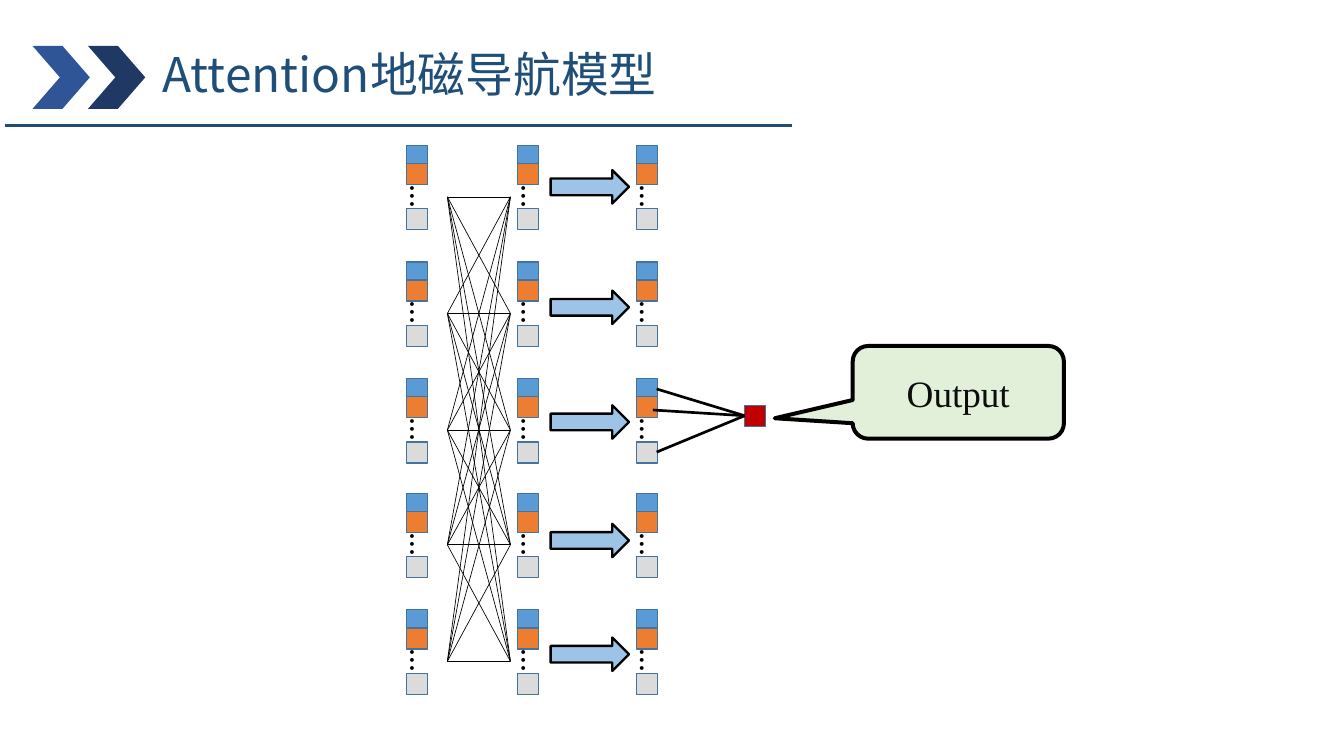
from itertools import product

from lxml.etree import SubElement
from pptx import Presentation
from pptx.dml.color import RGBColor
from pptx.enum.shapes import MSO_CONNECTOR, MSO_SHAPE
from pptx.enum.text import MSO_ANCHOR, MSO_AUTO_SIZE, PP_ALIGN
from pptx.oxml.ns import qn
from pptx.util import Inches, Pt

# The grid has square cells, ten to the inch.
COLUMNS, ROWS = 140.6, 79.1

NAVY = RGBColor(0x1F, 0x4E, 0x79)
CHEVRON_BLUE = RGBColor(0x2F, 0x55, 0x97)
CHEVRON_DARK = RGBColor(0x20, 0x38, 0x64)
BLUE = RGBColor(0x5B, 0x9B, 0xD5)
ORANGE = RGBColor(0xED, 0x7D, 0x31)
GREY = RGBColor(0xDB, 0xDB, 0xDB)
RED = RGBColor(0xC0, 0x00, 0x00)
OUTLINE = RGBColor(0x43, 0x73, 0x9E)
ARROW_BLUE = RGBColor(0x9D, 0xC3, 0xE6)
PALE_GREEN = RGBColor(0xE2, 0xF0, 0xD9)
BLACK = RGBColor(0x00, 0x00, 0x00)
INK = RGBColor(0x0D, 0x0D, 0x0D)

TITLE_FONT = {"name": "Noto Sans CJK SC", "size": Pt(36), "bold": False}
DOTS_FONT = {"name": "Calibri", "size": Pt(24)}
OUTPUT_FONT = {"name": "Times New Roman", "size": Pt(28)}
TITLE_FRAME = {"word_wrap": True, "auto_size": MSO_AUTO_SIZE.NONE,
               "vertical_anchor": MSO_ANCHOR.TOP, "margin_top": Inches(0.22)}
DOTS_FRAME = {"word_wrap": False, "auto_size": MSO_AUTO_SIZE.SHAPE_TO_FIT_TEXT}
OUTPUT_FRAME = {"word_wrap": True, "vertical_anchor": MSO_ANCHOR.MIDDLE}

SQUARE = 2.2
STACK_COLUMNS = (42.5, 54.15, 66.55)
STACK_ROWS = (15.2, 27.4, 39.6, 51.6, 63.8)
ARROW_ROWS = (17.8, 30.4, 42.4, 54.8, 66.7)
LINK_DROP = 5.4
LINK_LEFT, LINK_RIGHT = 46.8, 53.4
OUTPUT_NODE = (77.9, 42.4)
OUTPUT_LINK_STARTS = ((68.7, 40.7), (68.3, 42.9), (68.7, 47.3))


def cells(*counts):
    return [Inches(count / 10) for count in counts]


def assign(target, formats):
    for name, value in formats.items():
        setattr(target, name, value)


class DiagramSlide:
    """Draws styled elements on one slide, placed in grid cells."""

    def __init__(self, presentation):
        self.slide = presentation.slides.add_slide(presentation.slide_layouts[5])
        self.shapes = self.slide.shapes

    def label(self, shape, text, font, color, frame, alignment=PP_ALIGN.LEFT):
        assign(shape.text_frame, frame)
        paragraph = shape.text_frame.paragraphs[0]
        paragraph.alignment = alignment
        run = paragraph.add_run()
        run.text = text
        assign(run.font, font)
        run.font.color.rgb = color
        east_asian = SubElement(run.font._element, qn("a:ea"))
        east_asian.set("typeface", font["name"])

    def title(self, text, box):
        title = self.shapes.title
        assign(title, dict(zip(("left", "top", "width", "height"), cells(*box))))
        self.label(title, text, TITLE_FONT, NAVY, TITLE_FRAME)

    def shape(self, kind, box, fill, line=None, weight=1, adjustments=()):
        shape = self.shapes.add_shape(kind, *cells(*box))
        shape.shadow.inherit = False
        shape.fill.solid()
        shape.fill.fore_color.rgb = fill
        if line is None:
            shape.line.fill.background()
        else:
            shape.line.color.rgb = line
            shape.line.width = Pt(weight)
        for index, value in enumerate(adjustments):
            shape.adjustments[index] = value
        return shape

    def square(self, left, top, fill):
        self.shape(MSO_SHAPE.RECTANGLE, (left, top, SQUARE, SQUARE), fill, OUTLINE)

    def line(self, start, end, color, weight):
        line = self.shapes.add_connector(MSO_CONNECTOR.STRAIGHT, *cells(*start, *end))
        line.line.color.rgb = color
        line.line.width = Pt(weight)
        SubElement(line._element.spPr, qn("a:effectLst"))

    def vertical_dots(self, left, top):
        dots = self.shapes.add_textbox(*cells(left, top, 4.4, 5))
        dots.rotation = 90
        self.label(dots, "…", DOTS_FONT, BLACK, DOTS_FRAME)

    def stack(self, left, top):
        """Draw one feature vector: two squares, dots and a last square."""
        self.square(left, top, BLUE)
        self.square(left, top + 1.9, ORANGE)
        self.vertical_dots(left - 0.45, top + 2.9)
        self.square(left, top + 6.65, GREY)


def main():
    presentation = Presentation()
    presentation.slide_width, presentation.slide_height = cells(COLUMNS, ROWS)
    diagram = DiagramSlide(presentation)

    diagram.title("Attention地磁导航模型", (16, 2.5, 86.7, 17.1))
    for left, fill in ((3.4, CHEVRON_BLUE), (9.2, CHEVRON_DARK)):
        diagram.shape(MSO_SHAPE.CHEVRON, (left, 4.8, 6, 6.6), fill, adjustments=(0.478,))
    diagram.line((0.5, 13.1), (82.9, 13.1), NAVY, 2.25)

    for left, top in product(STACK_COLUMNS, STACK_ROWS):
        diagram.stack(left, top)
    for source, target in product(STACK_ROWS, repeat=2):
        diagram.line((LINK_LEFT, source + LINK_DROP), (LINK_RIGHT, target + LINK_DROP),
                     BLACK, 0.5)
    for top in ARROW_ROWS:
        diagram.shape(MSO_SHAPE.RIGHT_ARROW, (57.6, top, 8.2, 3.5), ARROW_BLUE, BLACK, 1.75)

    node_left, node_top = OUTPUT_NODE
    diagram.square(node_left, node_top, RED)
    for start in OUTPUT_LINK_STARTS:
        diagram.line(start, (node_left, node_top + SQUARE / 2), BLACK, 2)
    callout = diagram.shape(MSO_SHAPE.ROUNDED_RECTANGULAR_CALLOUT, (89.2, 36.2, 22.1, 9.7),
                            PALE_GREEN, BLACK, 3, (-0.869, 0.28, 0.167))
    diagram.label(callout, "Output", OUTPUT_FONT, INK, OUTPUT_FRAME, PP_ALIGN.CENTER)

    presentation.save("out.pptx")


if __name__ == "__main__":
    main()
